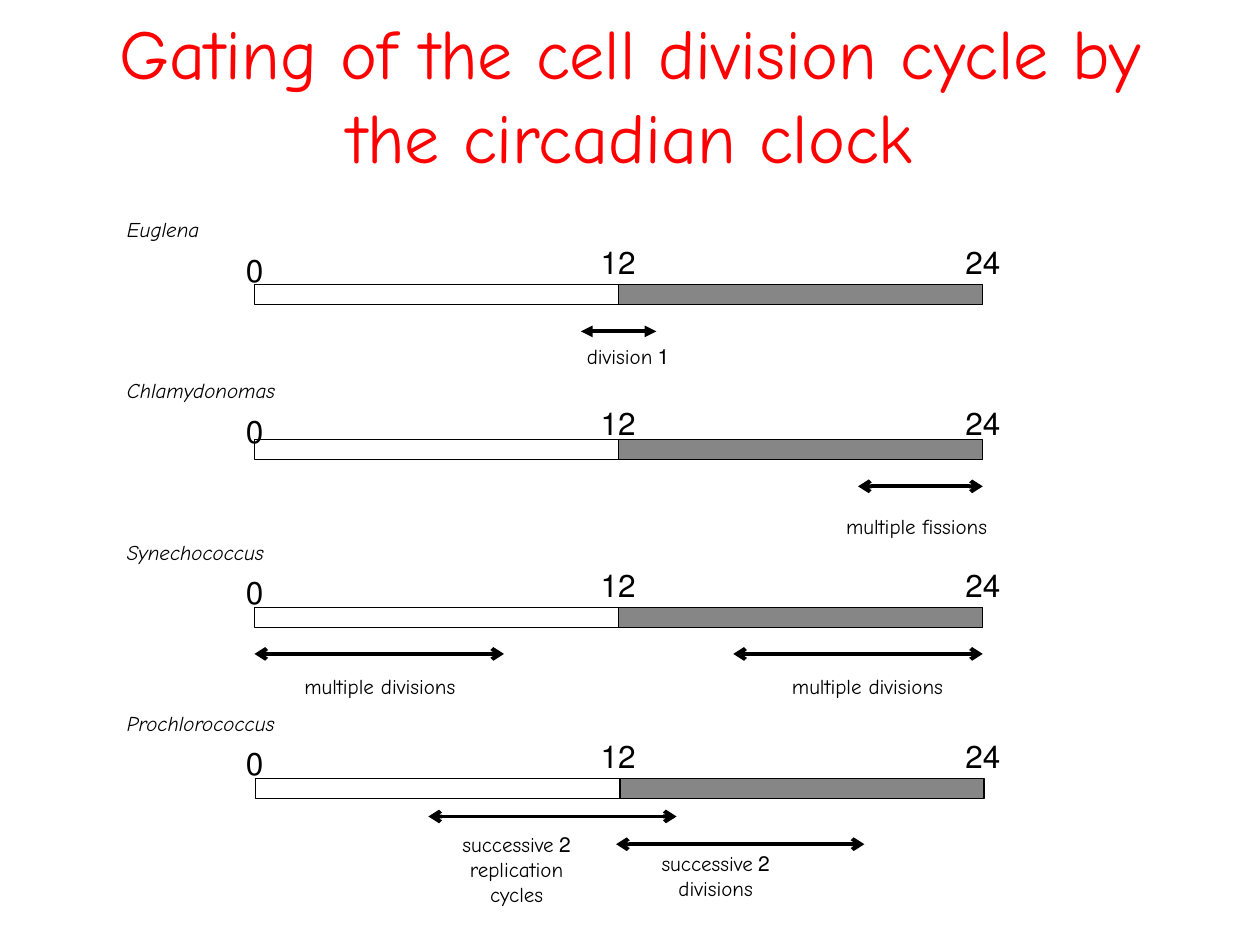
from pptx import Presentation
from pptx.dml.color import RGBColor
from pptx.enum.shapes import MSO_CONNECTOR, MSO_SHAPE
from pptx.enum.text import MSO_ANCHOR, MSO_AUTO_SIZE, PP_ALIGN
from pptx.oxml.ns import qn
from pptx.util import Inches, Pt
from lxml import etree

LEFT, CENTER = PP_ALIGN.LEFT, PP_ALIGN.CENTER
MIDDLE, TOP = MSO_ANCHOR.MIDDLE, MSO_ANCHOR.TOP
NO_FIT = MSO_AUTO_SIZE.NONE
RECT, LINE = MSO_SHAPE.RECTANGLE, MSO_CONNECTOR.STRAIGHT


def color(code):
    return RGBColor.from_string(code)


def write(frame, text, size=12, font="Comic Neue", ink="000000",
          italic=False, align=CENTER, anchor=TOP, rtl=True):
    frame.word_wrap = True
    frame.auto_size = NO_FIT
    frame.vertical_anchor = anchor
    para = frame.paragraphs[0]
    para.text = text
    para.alignment = align
    if rtl:
        para._p.get_or_add_pPr().set("rtl", "1")
    for run in para.runs:
        run.font.size = Pt(size)
        run.font.name = font
        run.font.italic = italic
        run.font.color.rgb = color(ink)


class Chart:
    """Draws day bars, arrows and labels on one slide."""

    ink, day, night, red = "000000", "FFFFFF", "868686", "FF0000"
    half, thick = 2.89, 0.16

    def __init__(self, slide):
        self.slide = slide
        self.shapes = slide.shapes

    def title(self, text):
        box = self.shapes.title
        box.left, box.top = Inches(0.5), Inches(0.33)
        box.width, box.height = Inches(9), Inches(0.83)
        write(box.text_frame, text, size=40, ink=self.red,
              anchor=MIDDLE, rtl=False)

    def label(self, text, x, y, w, h=0.3, **style):
        box = self.shapes.add_textbox(Inches(x), Inches(y), Inches(w), Inches(h))
        write(box.text_frame, text, ink=self.ink, **style)

    def bar(self, x, y):
        for i, fill in enumerate((self.day, self.night)):
            box = self.shapes.add_shape(RECT, Inches(x + i * self.half), Inches(y),
                                        Inches(self.half), Inches(self.thick))
            box.shadow.inherit = False
            box.fill.solid()
            box.fill.fore_color.rgb = color(fill)
            box.line.color.rgb = color(self.ink)
            box.line.width = Pt(0.75)

    def hours(self, y):
        for text, x, drop, w in (("0", 1.83, 0.27, 0.38), ("12", 4.64, 0.21, 0.53),
                                 ("24", 7.46, 0.21, 0.68)):
            self.label(text, x, y + drop, w, 0.4, size=18)

    def arrow(self, x, end, y, head="arrow"):
        line = self.shapes.add_connector(LINE, Inches(x), Inches(y),
                                         Inches(end), Inches(y))
        line.line.color.rgb = color(self.ink)
        line.line.width = Pt(2.25)
        edge = line.line._get_or_add_ln()
        for tag in ("a:headEnd", "a:tailEnd"):
            etree.SubElement(edge, qn(tag)).set("type", head)
        etree.SubElement(line._element.spPr, qn("a:effectLst"))

    def row(self, name, y, x, top):
        self.label(name, 0.91, y, 2.13, italic=True, align=LEFT)
        self.bar(x, top)
        self.hours(y)


ROWS = (
    ("Euglena", 1.67, 2.02, 2.26),
    ("Chlamydonomas", 2.95, 2.02, 3.49),
    ("Synechococcus", 4.23, 2.02, 4.82),
    ("Prochlorococcus", 5.59, 2.03, 6.18),
)
ARROWS = (
    (4.61, 5.21, 2.63, "triangle"),
    (6.81, 7.8, 3.86),
    (2.02, 4, 5.19),
    (5.82, 7.8, 5.19),
    (3.4, 5.37, 6.48),
    (4.89, 6.86, 6.7),
)
NOTES = (
    ("1 division", 3.92, 2.68, 2.13),
    ("multiple fissions", 6.21, 4.03, 2.13),
    ("multiple divisions", 1.95, 5.3, 2.13),
    ("multiple divisions", 5.82, 5.3, 2.13),
    ("2 successive\vreplication cycles", 3.4, 6.55, 1.4, 0.7),
    ("2 successive\vdivisions", 4.98, 6.7, 1.4, 0.5),
)


def main():
    deck = Presentation()
    deck.slide_width, deck.slide_height = Inches(10), Inches(7.5)
    chart = Chart(deck.slides.add_slide(deck.slide_layouts[5]))
    chart.title("Gating of the cell division cycle by the circadian clock")
    for row in ROWS:
        chart.row(*row)
    for arrow in ARROWS:
        chart.arrow(*arrow)
    for note in NOTES:
        chart.label(*note)
    deck.save("out.pptx")


if __name__ == "__main__":
    main()
